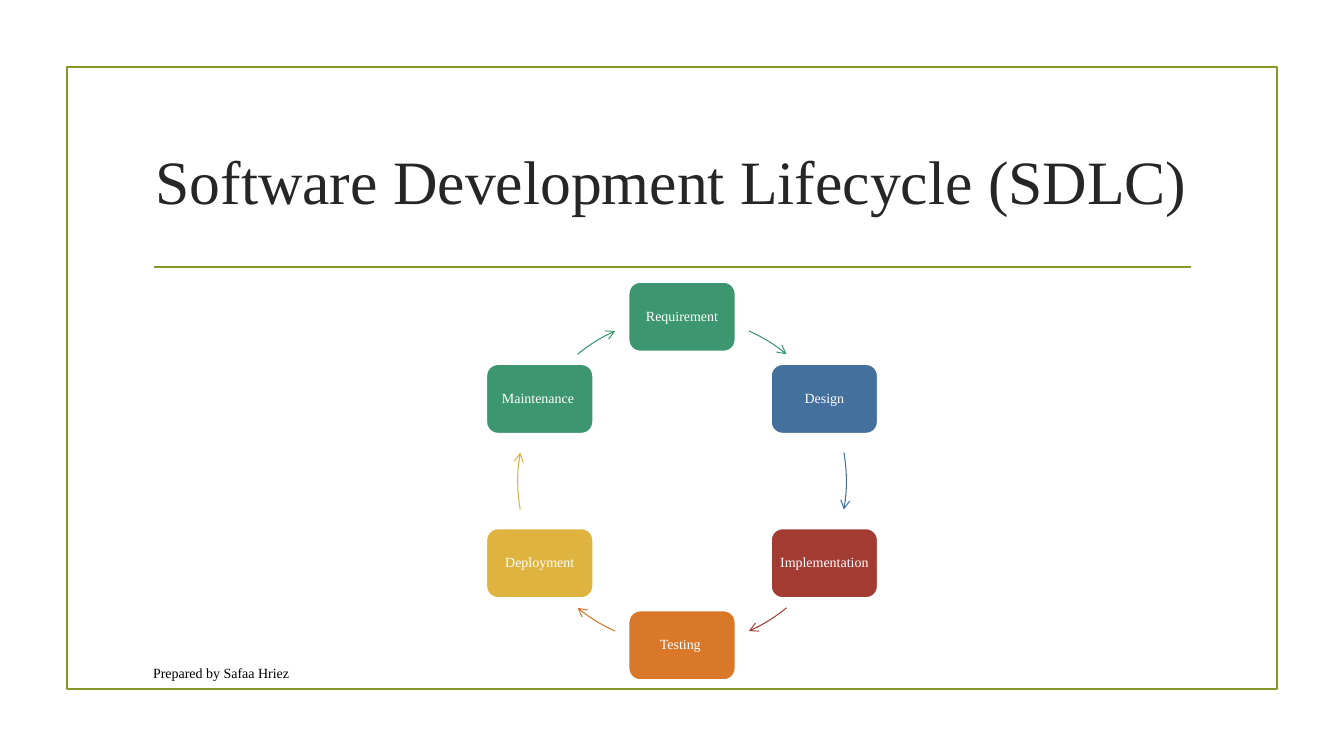
"""Build the software development lifecycle slide."""
import math
from typing import Any, NamedTuple

from lxml import etree
from pptx import Presentation, util as u
from pptx.dml.color import RGBColor
from pptx.enum import shapes, text
from pptx.oxml.ns import qn

WIDTH, HEIGHT = u.Inches(13.33), u.Inches(7.5)
FONT = "Times New Roman"
OLIVE, WHITE = "83992A", "FFFFFF"
ADJUSTMENT_PER_DEGREE = 0.6


class Area(NamedTuple):
    """A rectangle in percent of the slide's width and height."""
    left: float
    top: float
    width: float
    height: float


class Phase(NamedTuple):
    """A lifecycle phase and the arrow to the next, in degrees from the top."""
    name: str
    color: str
    arrow_middle: float
    arrow_reach: float


PHASES = [
    Phase("Requirement", "3C9770", 31.75, 7.75),
    Phase("Design", "44709D", 90, 10),
    Phase("Implementation", "A23C33", 148.25, 7.75),
    Phase("Testing ", "D97828", 211.75, 7.75),
    Phase("Deployment", "DEB340", 270, 10),
    Phase("Maintenance ", "3C9770", 328.25, 7.75),
]
FRAME = Area(4.97, 8.9, 90.03, 82.27)
TITLE = Area(10.6, 14.27, 78.77, 19.07)
CREDIT = Area(10.65, 87, 59.94, 4.13)
RULE_START, RULE_END, RULE_LEVEL = 11.48, 88.6, 35.33
CYCLE_X, CYCLE_Y, CYCLE_RADIUS = 50.75, 63.63, 21.73
BOX_WIDTH, BOX_HEIGHT = 7.95, 9.2


def across(share: float) -> int:
    """Turn a percentage of the slide's width into a length."""
    return round(WIDTH * share / 100)


def down(share: float) -> int:
    """Turn a percentage of the slide's height into a length."""
    return round(HEIGHT * share / 100)


def place(area: Area) -> tuple[int, int, int, int]:
    """Return left, top, width and height of an area."""
    return across(area.left), down(area.top), across(area.width), down(area.height)


def rgb(color: str) -> RGBColor:
    """Return the colour of a hex string."""
    return RGBColor.from_string(color)


def apply(target: Any, values: dict[str, Any]) -> None:
    """Set every format value on the target."""
    for name, value in values.items():
        setattr(target, name, value)


def on_cycle(angle: float) -> tuple[int, int]:
    """Return the point of the cycle at an angle from the top."""
    turn, radius = math.radians(angle), down(CYCLE_RADIUS)
    return (round(across(CYCLE_X) + radius * math.sin(turn)),
            round(down(CYCLE_Y) - radius * math.cos(turn)))


def outline(shape: Any, color: str, width: float) -> None:
    """Give a shape or connector a plain line."""
    shape.line.color.rgb = rgb(color)
    shape.line.width = u.Pt(width)


def write(shape: Any, words: str, size: float, color: str,
          align: text.PP_ALIGN, **frame_values: Any) -> None:
    """Write one formatted paragraph in a shape."""
    frame = shape.text_frame
    apply(frame, {"word_wrap": True, "auto_size": text.MSO_AUTO_SIZE.NONE,
                  "vertical_anchor": text.MSO_ANCHOR.MIDDLE, **frame_values})
    frame.text = words
    paragraph = frame.paragraphs[0]
    paragraph.alignment = align
    apply(paragraph.font, {"name": FONT, "size": u.Pt(size)})
    paragraph.font.color.rgb = rgb(color)


def draw_frame(slide: Any) -> None:
    """Draw the border and the rule under the title."""
    border = slide.shapes.add_shape(shapes.MSO_SHAPE.RECTANGLE, *place(FRAME))
    border.shadow.inherit = False
    border.fill.background()
    outline(border, OLIVE, 1.25)
    rule = slide.shapes.add_connector(
        shapes.MSO_CONNECTOR.STRAIGHT, across(RULE_START), down(RULE_LEVEL),
        across(RULE_END), down(RULE_LEVEL))
    outline(rule, OLIVE, 1.25)
    etree.SubElement(rule._element.spPr, qn("a:effectLst"))


def draw_box(slide: Any, phase: Phase, angle: float) -> None:
    """Draw the box of a phase, centred on the cycle."""
    x, y = on_cycle(angle)
    width, height = across(BOX_WIDTH), down(BOX_HEIGHT)
    box = slide.shapes.add_shape(shapes.MSO_SHAPE.ROUNDED_RECTANGLE,
                                 x - width // 2, y - height // 2, width, height)
    box.shadow.inherit = False
    box.fill.solid()
    box.fill.fore_color.rgb = rgb(phase.color)
    outline(box, WHITE, 1.25)
    margins = {f"margin_{side}": u.Inches(0.04)
               for side in ("left", "right", "top", "bottom")}
    write(box, phase.name, 10, WHITE, text.PP_ALIGN.CENTER, **margins)
    box.text_frame.paragraphs[0].line_spacing = 0.9


def draw_arrow(slide: Any, phase: Phase) -> None:
    """Draw the arc of the cycle that leads to the next phase."""
    radius = down(CYCLE_RADIUS)
    arrow = slide.shapes.add_shape(
        shapes.MSO_SHAPE.ARC, across(CYCLE_X) - radius, down(CYCLE_Y) - radius,
        2 * radius, 2 * radius)
    for index, reach in enumerate((-phase.arrow_reach, phase.arrow_reach)):
        angle = (phase.arrow_middle + reach - 90) % 360
        arrow.adjustments[index] = angle * ADJUSTMENT_PER_DEGREE
    arrow.shadow.inherit = False
    arrow.fill.background()
    outline(arrow, phase.color, 0.75)
    line = arrow._element.spPr.find(qn("a:ln"))
    etree.SubElement(line, qn("a:tailEnd"), type="arrow")


def main() -> None:
    """Build and save the slide."""
    deck = Presentation()
    apply(deck, {"slide_width": WIDTH, "slide_height": HEIGHT})
    slide = deck.slides.add_slide(deck.slide_layouts[5])
    draw_frame(slide)
    title = slide.shapes.title
    apply(title, dict(zip(("left", "top", "width", "height"), place(TITLE))))
    write(title, "Software Development Lifecycle (SDLC)", 44, "262626",
          text.PP_ALIGN.CENTER)
    for index, phase in enumerate(PHASES):
        draw_box(slide, phase, index * 360 / len(PHASES))
        draw_arrow(slide, phase)
    credit = slide.shapes.add_textbox(*place(CREDIT))
    write(credit, "Prepared by Safaa Hriez", 10, "000000", text.PP_ALIGN.LEFT)
    deck.save("out.pptx")


if __name__ == "__main__":
    main()
